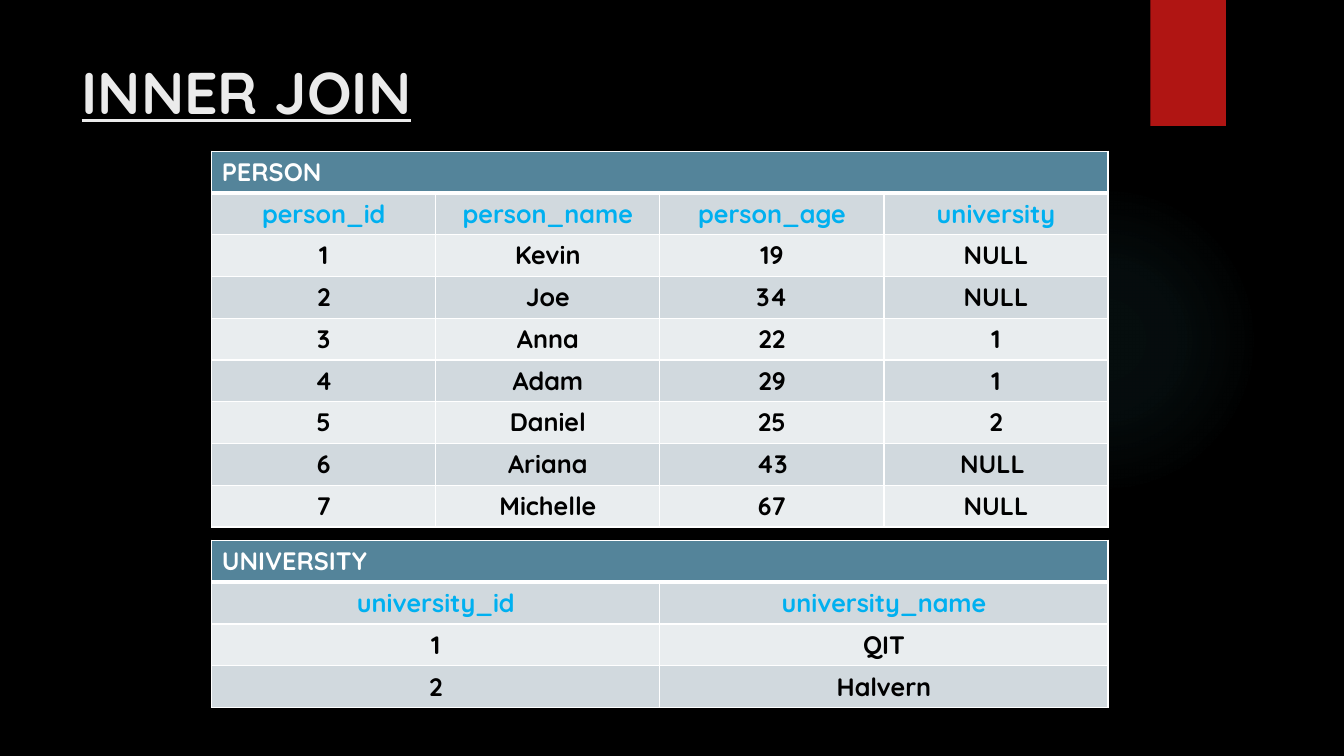
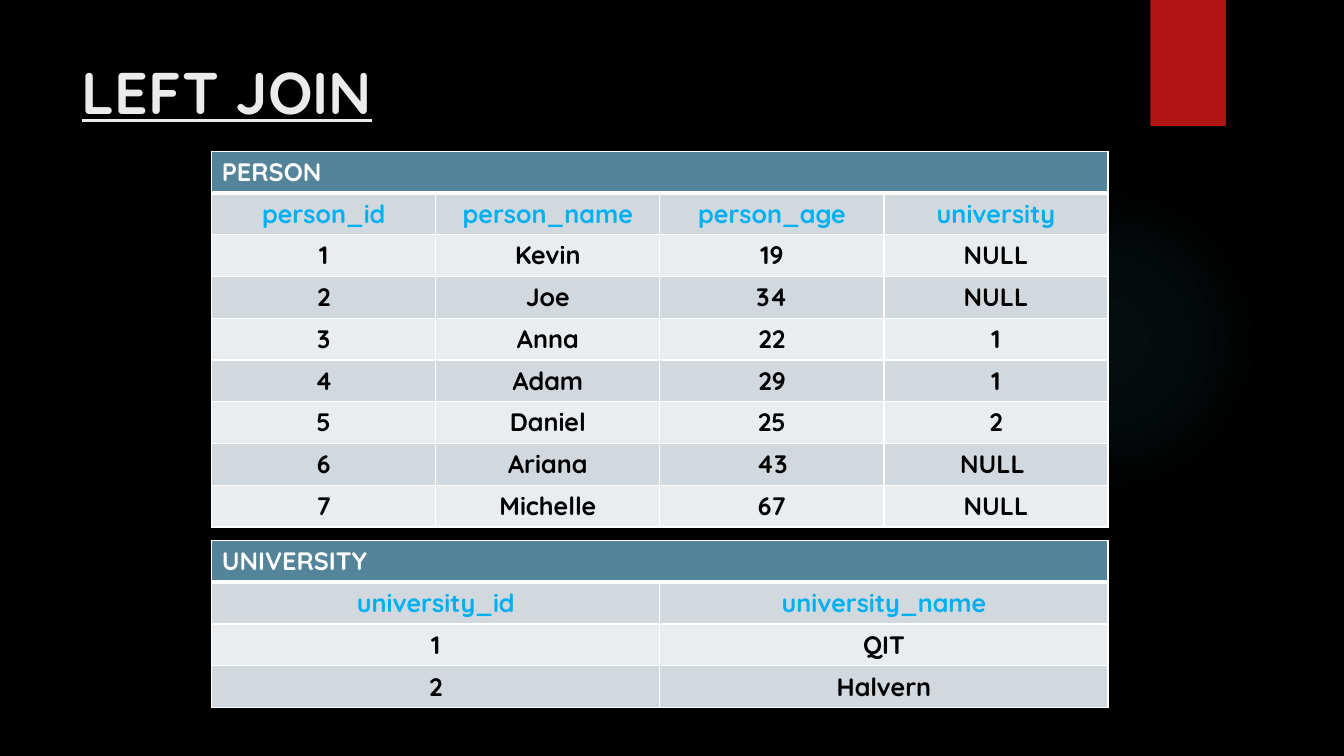
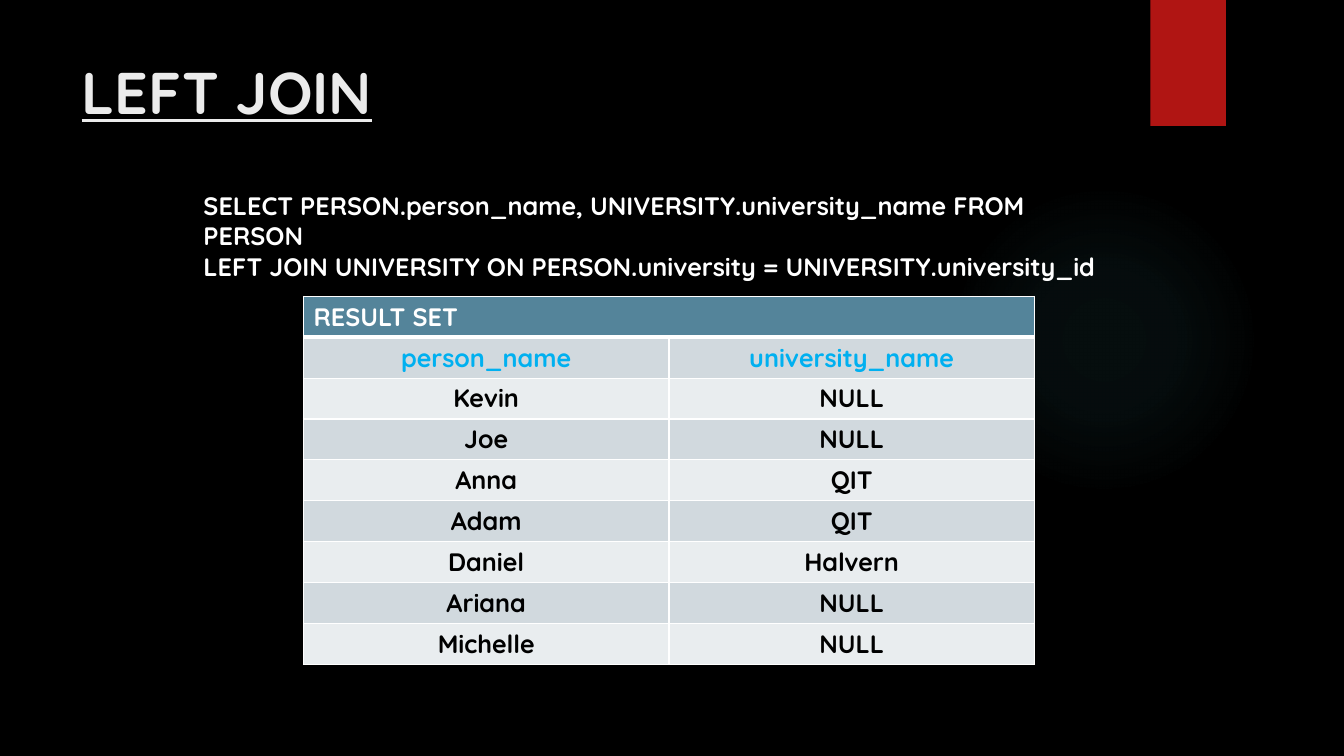
from lxml.etree import SubElement
from pptx import Presentation
from pptx.dml.color import RGBColor
from pptx.enum.shapes import MSO_SHAPE
from pptx.enum.text import MSO_ANCHOR, MSO_AUTO_SIZE, PP_ALIGN
from pptx.oxml import parse_xml
from pptx.oxml.ns import nsdecls, qn
from pptx.util import Inches, Pt

FONT = "Quicksand"
COLOURS = {
    "background": "000000",
    "glow": "50B9C1",
    "ribbon": "B01513",
    "title": "EBEBEB",
    "white": "FFFFFF",
    "header": "54849A",
    "field": "00B0F0",
    "value": "000000",
    "dark_row": "D1D9DE",
    "light_row": "E9EDEF",
}
GLOW_STOPS = [(0, 7), (36, 6), (69, 0)]

PERSON = {
    "heading": "PERSON",
    "rows": [
        ("person_id", "person_name", "person_age", "university"),
        ("1", "Kevin", "19", "NULL"),
        ("2", "Joe", "34", "NULL"),
        ("3", "Anna", "22", "1"),
        ("4", "Adam", "29", "1"),
        ("5", "Daniel", "25", "2"),
        ("6", "Ariana", "43", "NULL "),
        ("7", "Michelle", "67", "NULL"),
    ],
    "frame": (2.1, 1.5, 8.89, 3.73),
}
UNIVERSITY = {
    "heading": "UNIVERSITY",
    "rows": [
        ("university_id", "university_name"),
        ("1", "QIT"),
        ("2", "Halvern"),
    ],
    "frame": (2.1, 5.36, 8.89, 1.66),
}
RESULT_SET = {
    "heading": "RESULT SET",
    "rows": [
        ("person_name", "university_name"),
        ("Kevin", "NULL"),
        ("Joe", "NULL"),
        ("Anna", "QIT"),
        ("Adam", "QIT"),
        ("Daniel", "Halvern"),
        ("Ariana", "NULL"),
        ("Michelle", "NULL"),
    ],
    "frame": (3.01, 2.94, 7.25, 3.65),
}
LEFT_JOIN_QUERY = [
    "SELECT PERSON.person_name, UNIVERSITY.university_name FROM PERSON",
    "LEFT JOIN UNIVERSITY ON PERSON.university = UNIVERSITY.university_id",
]
SLIDES = [
    ("INNER JOIN", [], [PERSON, UNIVERSITY]),
    ("LEFT JOIN", [], [PERSON, UNIVERSITY]),
    ("LEFT JOIN", LEFT_JOIN_QUERY, [RESULT_SET]),
]


def rgb(name):
    return RGBColor.from_string(COLOURS[name])


def inches(frame):
    return [Inches(length) for length in frame]


def style_text(paragraph, colour, size=18, underline=False):
    for run in paragraph.runs:
        run.font.name = FONT
        run.font.size = Pt(size)
        run.font.bold = True
        run.font.underline = underline
        run.font.color.rgb = rgb(colour)


def add_decor(slide, layout):
    glow = slide.shapes.add_shape(MSO_SHAPE.OVAL, *inches((9.41, 1.83, 3.08, 3.08)))
    ribbon = slide.shapes.add_shape(MSO_SHAPE.RECTANGLE, *inches((11.41, 0, 0.75, 1.25)))
    ribbon.fill.solid()
    ribbon.fill.fore_color.rgb = rgb("ribbon")
    glow.fill.background()
    stops = "".join(
        f'<a:gs pos="{place * 1000}"><a:srgbClr val="{COLOURS["glow"]}">'
        f'<a:alpha val="{opacity * 1000}"/></a:srgbClr></a:gs>'
        for place, opacity in GLOW_STOPS + [(100, 0)]
    )
    gradient = parse_xml(
        f'<a:gradFill {nsdecls("a")}><a:gsLst>{stops}</a:gsLst><a:path path="circle">'
        '<a:fillToRect l="50000" t="50000" r="50000" b="50000"/></a:path></a:gradFill>'
    )
    properties = glow.element.spPr
    properties.replace(properties.find(qn("a:noFill")), gradient)
    for position, decor in enumerate((glow, ribbon), start=2):
        decor.line.fill.background()
        decor.shadow.inherit = False
        layout.shapes.element.insert(position, decor.element)


def add_borders(cell, top, bottom):
    properties = cell._tc.get_or_add_tcPr()
    for side, width in (("L", 1), ("R", 1), ("T", top), ("B", bottom)):
        border = SubElement(properties, qn(f"a:ln{side}"), w=str(Pt(width)))
        fill = SubElement(border, qn("a:solidFill"))
        SubElement(fill, qn("a:srgbClr"), val=COLOURS["white"])


def add_data_table(slide, heading, rows, frame):
    column_count = len(rows[0])
    grid = [(heading,) + ("",) * (column_count - 1)] + rows
    left, top, width, height = inches(frame)
    table = slide.shapes.add_table(len(grid), column_count, left, top, width, height).table
    table.first_row = table.horz_banding = False
    for column in table.columns:
        column.width = width // column_count
    for row_index, values in enumerate(grid):
        table.rows[row_index].height = height // len(grid)
        text_colour = ("white", "field")[row_index] if row_index < 2 else "value"
        row_fill = "header" if row_index == 0 else ("light_row", "dark_row")[row_index % 2]
        if row_index > 1:
            row_fill = ("light_row", "dark_row")[row_index % 2]
        for column_index, value in enumerate(values):
            cell = table.cell(row_index, column_index)
            add_borders(cell, 3 if row_index == 1 else 1, 3 if row_index == 0 else 1)
            cell.fill.solid()
            cell.fill.fore_color.rgb = rgb(row_fill)
            cell.margin_top = cell.margin_bottom = Inches(0.04)
            cell.vertical_anchor = MSO_ANCHOR.MIDDLE
            cell.text_frame.text = value
            paragraph = cell.text_frame.paragraphs[0]
            paragraph.alignment = PP_ALIGN.CENTER if row_index else PP_ALIGN.LEFT
            style_text(paragraph, text_colour)
    table.cell(0, 0).merge(table.cell(0, column_count - 1))


def add_query(slide, lines):
    query = slide.shapes.add_textbox(*inches((1.92, 1.84, 9.1, 0.71))).text_frame
    query.word_wrap = True
    query.text = "\n".join(lines)
    for paragraph in query.paragraphs:
        style_text(paragraph, "white")


def add_title(slide, wording):
    title = slide.shapes.title
    title.left, title.top, title.width, title.height = inches((0.71, 0.5, 10.29, 1.53))
    title.text_frame.text = wording
    title.text_frame.auto_size = MSO_AUTO_SIZE.NONE
    title.text_frame.vertical_anchor = MSO_ANCHOR.TOP
    paragraph = title.text_frame.paragraphs[0]
    paragraph.alignment = PP_ALIGN.LEFT
    style_text(paragraph, "title", size=42, underline=True)


def main():
    deck = Presentation()
    deck.slide_width, deck.slide_height = Inches(13.33), Inches(7.5)
    backdrop = deck.slide_master.background.fill
    backdrop.solid()
    backdrop.fore_color.rgb = rgb("background")
    layout = deck.slide_layouts.get_by_name("Title Only")
    for index, (wording, query, tables) in enumerate(SLIDES):
        slide = deck.slides.add_slide(layout)
        if index == 0:
            add_decor(slide, layout)
        add_title(slide, wording)
        if query:
            add_query(slide, query)
        for table in tables:
            add_data_table(slide, **table)
    deck.save("out.pptx")


if __name__ == "__main__":
    main()
